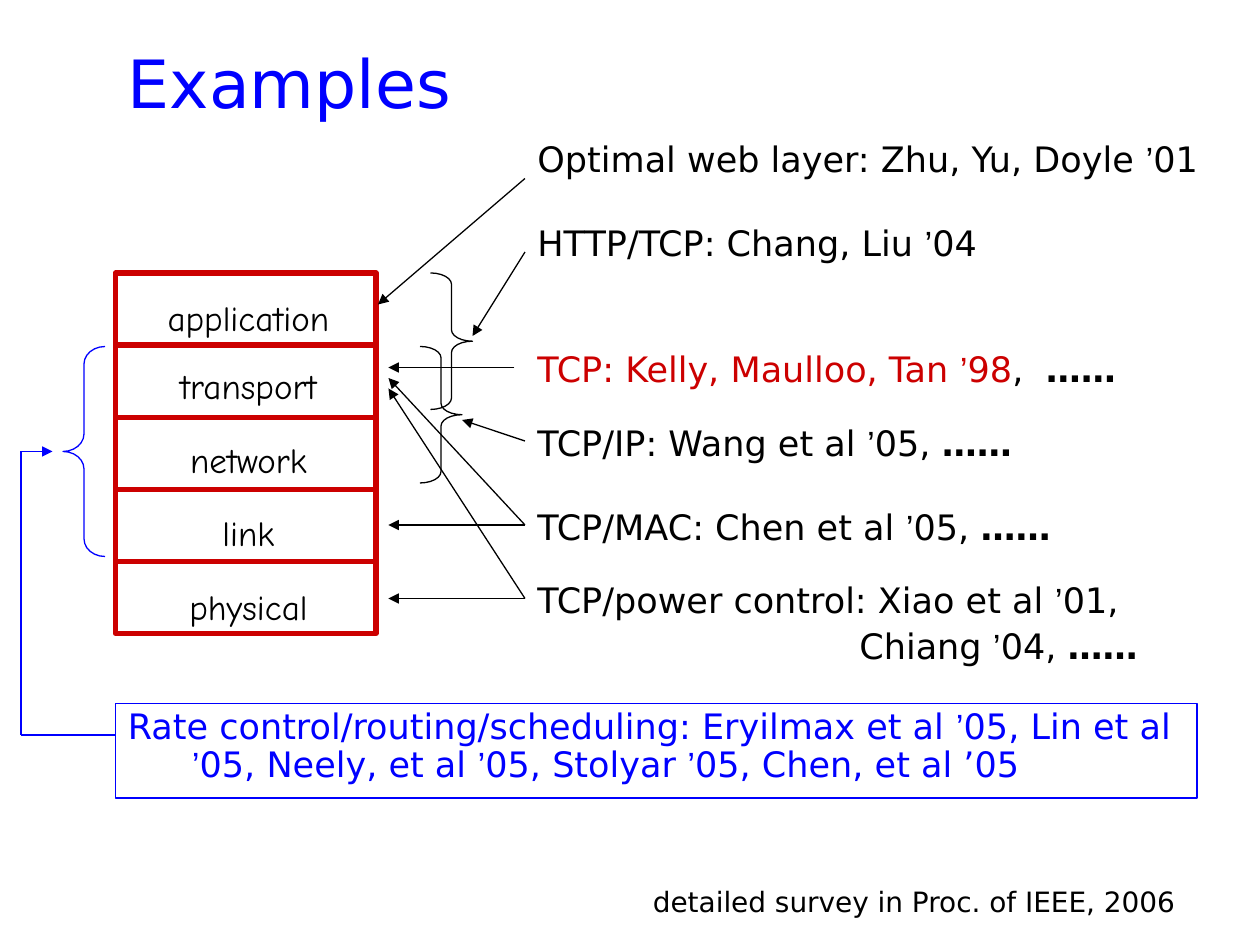
import pptx
import pptx.util
import pptx.dml.color
import pptx.enum.shapes
import pptx.enum.text
import pptx.oxml
import pptx.oxml.ns

Pt = pptx.util.Pt
SHAPES = pptx.enum.shapes.MSO_SHAPE
ALIGN = pptx.enum.text.PP_ALIGN
BODY_FONT, QUOTE_FONT, LAYER_FONT = "DejaVu Sans", "Arial", "Comic Neue"
BLACK, RED, BLUE, WHITE = "000000", "CC0000", "0000FF", "FFFFFF"
DOTS = ("……", {"bold": True})
HANG = 36.6


def color(value):
    return pptx.dml.color.RGBColor.from_string(value)


def write_text(box, paragraphs, size=20, font=BODY_FONT, ink=BLACK, align=ALIGN.LEFT,
               wrap=True, spacing=0.9, hang=HANG, gaps=(), indents=(), top_margin=3.6):
    """Each paragraph is a list of strings or (text, format) pairs."""
    frame = box.text_frame
    frame.word_wrap = wrap
    frame.vertical_anchor = pptx.enum.text.MSO_ANCHOR.TOP
    frame.margin_top = Pt(top_margin)
    for index, spans in enumerate(paragraphs):
        para = frame.paragraphs[0] if index == 0 else frame.add_paragraph()
        para.alignment = align
        para.line_spacing = spacing
        if index:
            para.space_before = Pt(gaps[index - 1])
        indent = indents[index] if indents else 0
        properties = para._p.get_or_add_pPr()
        properties.set("marL", str(int(Pt(indent or hang))))
        properties.set("indent", str(int(Pt(0 if indent else -hang))))
        for text, style in split_quotes(spans):
            span = para.add_run()
            span.text = text
            span.font.size = Pt(size)
            span.font.name = style.get("font", font)
            span.font.bold = style.get("bold", False)
            span.font.color.rgb = color(style.get("ink", ink))


def split_quotes(spans):
    """Set the apostrophes of plain strings in their own font."""
    for item in spans:
        if isinstance(item, tuple):
            yield item
            continue
        for index, piece in enumerate(item.split("’")):
            if index:
                yield "’", {"font": QUOTE_FONT}
            if piece:
                yield piece, {}


def add_text(page, left, top, width, height, paragraphs, **style):
    box = page.shapes.add_textbox(Pt(left), Pt(top), Pt(width), Pt(height))
    write_text(box, paragraphs, **style)


def add_shape(page, kind, left, top, width, height, ink, weight=0.75, fill=None, bend=None):
    shape = page.shapes.add_shape(kind, Pt(left), Pt(top), Pt(width), Pt(height))
    shape.shadow.inherit = False
    if fill:
        shape.fill.solid()
        shape.fill.fore_color.rgb = color(fill)
    else:
        shape.fill.background()
    shape.line.color.rgb = color(ink)
    shape.line.width = Pt(weight)
    if bend:
        shape.adjustments[0] = bend
    return shape


def add_line(page, start, end, ink=BLACK, weight=0.75, arrow=False):
    line = page.shapes.add_connector(pptx.enum.shapes.MSO_CONNECTOR.STRAIGHT,
                                     *[Pt(value) for value in (*start, *end)])
    line.line.color.rgb = color(ink)
    line.line.width = Pt(weight)
    if arrow:
        tail = pptx.oxml.parse_xml('<a:tailEnd %s type="triangle"/>' % pptx.oxml.ns.nsdecls("a"))
        line.line._get_or_add_ln().append(tail)
    line._element.spPr.append(
        pptx.oxml.parse_xml("<a:effectLst %s/>" % pptx.oxml.ns.nsdecls("a")))


def draw_stack(page, left, top, width, height):
    layers = ["application", "transport", "network", "link", "physical"]
    add_shape(page, SHAPES.RECTANGLE, left, top, width, height, RED, 3, WHITE)
    add_text(page, left + 19, top + 9.6, width - 35, height - 14, [[name] for name in layers],
             font=LAYER_FONT, align=ALIGN.CENTER, wrap=False, spacing=1, hang=0,
             gaps=(15.3, 18, 18, 18))
    for index in range(1, len(layers)):
        y = top + index * height / len(layers)
        add_line(page, (left, y), (left + width, y), RED, 3)


def draw_citations(page, left, top):
    # Offset from the top, width, paragraphs
    rows = [
        (0, 402, [["Optimal web layer: Zhu, Yu, Doyle ’01"]]),
        (48, 312, [["HTTP/TCP: Chang, Liu ’04"]]),
        (120, 384, [[("TCP: Kelly, Maulloo, Tan ", {"ink": RED}),
                     ("’", {"ink": RED, "font": QUOTE_FONT}),
                     ("98", {"ink": RED}), ",  ", DOTS]]),
        (162, 384, [["TCP/IP: Wang et al ’05, ", DOTS]]),
        (210, 384, [["TCP/MAC: Chen et al ’05, ", DOTS]]),
        (252, 384, [["TCP/power control: Xiao et al ’01,"], ["Chiang ’04, ", DOTS]]),
    ]
    for offset, width, paragraphs in rows:
        add_text(page, left, top + offset, width, 36, paragraphs,
                 gaps=(4.7,), indents=(0, 184))


def draw_mapping(page, left, top, width):
    """Braces and arrows from the citations on the right to the layers on the left."""
    for x, y in ((30, 54), (24, 96)):
        add_shape(page, SHAPES.RIGHT_BRACE, left + x, top + y, 24, 78, BLACK, bend=0.271)
    arrows = [
        ((width, 0), (0, 72)),
        ((width, 42), (54, 90)),
        ((width - 6, 108), (6, 108)),
        ((width, 150), (48, 138)),
        ((width, 198), (6, 114)),
        ((width, 198), (6, 198)),
        ((width, 240), (6, 120)),
        ((width, 240), (6, 240)),
    ]
    for start, end in arrows:
        add_line(page, (left + start[0], top + start[1]), (left + end[0], top + end[1]), arrow=True)


def draw_joint_work(page, left, top, width, height):
    """Framed citation with its route up to the brace over three layers."""
    box = add_shape(page, SHAPES.RECTANGLE, left, top, width, height, BLUE)
    write_text(box, [["Rate control/routing/scheduling: Eryilmax et al ’05, Lin et al ’05, "
                      "Neely, et al ’05, Stolyar ’05, ", ("Chen, et al ’05", {})]], ink=BLUE)
    add_shape(page, SHAPES.LEFT_BRACE, left - 30, top - 204, 24, 120, BLUE, bend=0.417)
    rail, upper, lower = left - 54, top - 144, top + 18
    add_line(page, (rail, upper), (rail + 18, upper), BLUE, arrow=True)
    add_line(page, (rail, upper), (rail, lower), BLUE)
    add_line(page, (rail, lower), (left, lower), BLUE)


def main():
    deck = pptx.Presentation()
    deck.slide_width, deck.slide_height = Pt(720), Pt(540)
    page = deck.slides.add_slide(deck.slide_layouts[6])

    # Title
    add_text(page, 66, 18, 636, 66, [["Examples"]], size=38, ink=BLUE, spacing=1, hang=0,
             top_margin=6)
    # Protocol layers, work on each, and the links between them
    draw_stack(page, 66, 156, 149, 206)
    draw_citations(page, 300, 78)
    draw_mapping(page, 216, 102, 84)
    draw_joint_work(page, 66, 402, 618, 54)
    # Source note
    add_text(page, 366, 504, 324, 36, [["detailed survey in Proc. of IEEE, 2006"]], size=16)

    deck.save("out.pptx")


if __name__ == "__main__":
    main()
